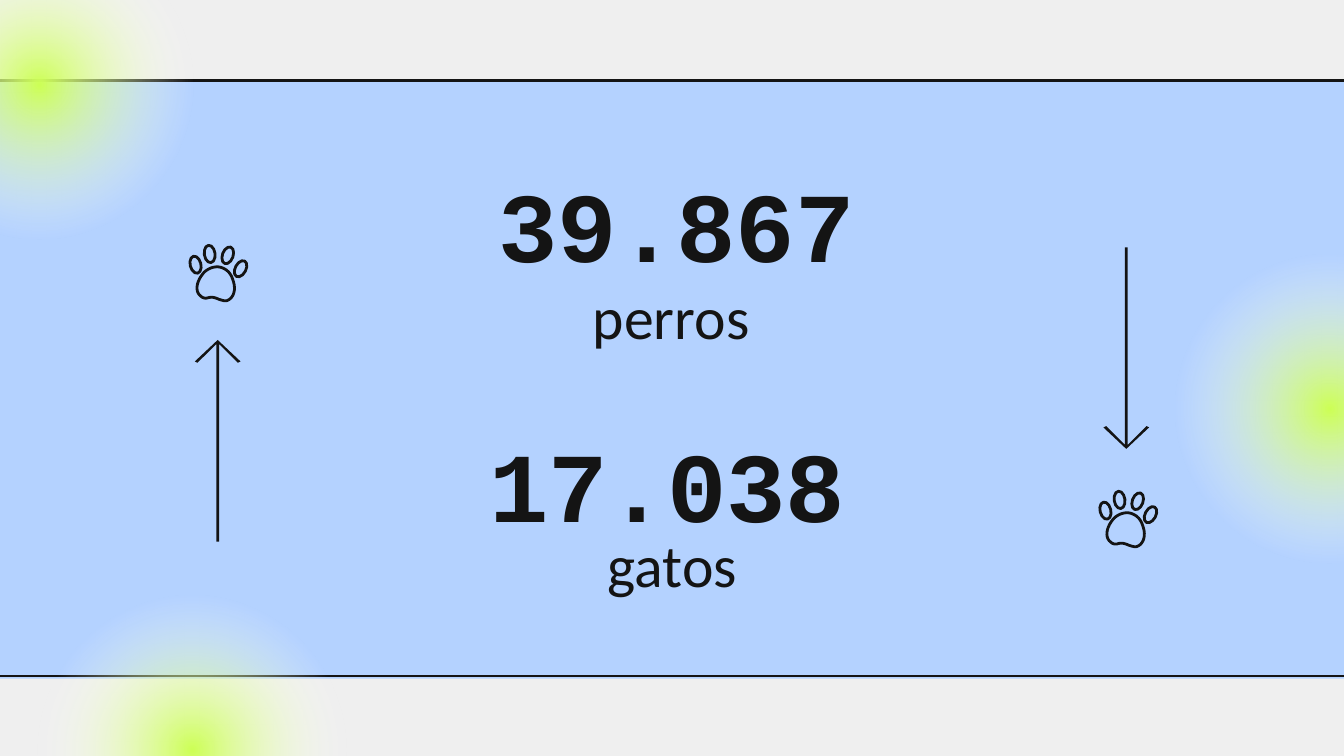
from typing import NamedTuple

from pptx import Presentation
from pptx.dml.color import RGBColor
from pptx.enum.shapes import MSO_CONNECTOR, MSO_SHAPE
from pptx.enum.text import MSO_ANCHOR, PP_ALIGN
from pptx.oxml import parse_xml
from pptx.oxml.ns import nsdecls
from pptx.util import Inches, Pt

WIDTH = 10
HEIGHT = WIDTH * 9 / 16
INK, BLUE, GREY, LIME, WHITE = "141414", "B4D2FF", "EFEFEF", "CDFF56", "FFFFFF"
GLOW_SIZE = 2.54
TEXT_WIDTH = 5.63


class Point(NamedTuple):
    x: float
    y: float


class Label(NamedTuple):
    text: str
    left: float
    top: float
    height: float
    font: str
    size: int
    bold: bool


class Toe(NamedTuple):
    center: Point
    tilt: float


class Arrow(NamedTuple):
    left: float
    top: float
    rotation: float


NUMBER_STYLE = (0.85, "Courier New", 53, True)
ANIMAL_STYLE = (0.47, "Calibri", 32, False)
LABELS = [
    Label("39.867", 2.22, 1.12, *NUMBER_STYLE),
    Label("perros", 2.18, 1.98, *ANIMAL_STYLE),
    Label("17.038", 2.15, 3.05, *NUMBER_STYLE),
    Label("gatos", 2.19, 3.83, *ANIMAL_STYLE),
]
GLOWS = [Point(1.43, 5.58), Point(9.89, 3.04), Point(0.29, 0.63)]
ARROWS = [Arrow(1.45, 2.53, 0), Arrow(8.21, 1.84, 180)]

# Paw parts are measured in hundredths of an inch from the pad's center.
PAWS = [Point(1.61, 2.11), Point(8.38, 3.94)]
TOES = [
    Toe(Point(-15.5, -14), -14),
    Toe(Point(-5, -22), -8),
    Toe(Point(8.5, -21), 20),
    Toe(Point(18, -11), 28),
]
PAD_START = Point(1, -12.5)
PAD_CURVES = [
    ((6, -12), (10, -9), (12, -4)),
    ((15, 2), (14.5, 9.5), (9, 12)),
    ((7, 12.5), (5, 12), (3, 11.5)),
    ((0, 10.5), (-2, 10), (-5, 11)),
    ((-7, 12), (-9, 11.5), (-10.5, 10.5)),
    ((-15.5, 7.5), (-15, 0), (-10.5, -6.5)),
    ((-8, -10), (-4, -12.5), PAD_START),
]
ARROW_OUTLINE = [
    (0.17, 0), (0.34, 0.16), (0.32, 0.17), (0.18, 0.03), (0.18, 1.5),
    (0.16, 1.5), (0.16, 0.03), (0.02, 0.17), (0, 0.16),
]


def color(value: str) -> RGBColor:
    return RGBColor.from_string(value)


def paint(shape, fill: str | None = None, line: str | None = None, weight: float = 1.5) -> None:
    shape.shadow.inherit = False
    if fill:
        shape.fill.solid()
        shape.fill.fore_color.rgb = color(fill)
    else:
        shape.fill.background()
    if line:
        shape.line.color.rgb = color(line)
        shape.line.width = Pt(weight)
    else:
        shape.line.fill.background()


def add_oval(page, center: Point, width: float, height: float):
    return page.shapes.add_shape(
        MSO_SHAPE.OVAL, Inches(center.x - width / 2), Inches(center.y - height / 2),
        Inches(width), Inches(height))


def add_outline(page, points: list):
    start, *others = [(Inches(x), Inches(y)) for x, y in points]
    builder = page.shapes.build_freeform(*start, scale=1.0)
    builder.add_line_segments(others, close=True)
    return builder.convert_to_shape()


def curve_points(start, first, second, end, steps: int = 10) -> list[Point]:
    """Sample a cubic Bezier curve, leaving out its start."""
    points = []
    for step in range(1, steps + 1):
        t = step / steps
        weights = ((1 - t) ** 3, 3 * t * (1 - t) ** 2, 3 * t * t * (1 - t), t ** 3)
        points.append(Point(*(sum(w * v for w, v in zip(weights, axis))
                              for axis in zip(start, first, second, end))))
    return points


def add_band(page) -> None:
    band = page.shapes.add_shape(
        MSO_SHAPE.RECTANGLE, 0, Inches(0.6), Inches(WIDTH), Inches(4.45))
    paint(band, BLUE)
    for y in (5.03, 0.6):
        edge = page.shapes.add_connector(
            MSO_CONNECTOR.STRAIGHT, Inches(WIDTH + 0.02), Inches(y), Inches(-0.02), Inches(y))
        edge.line.color.rgb = color(INK)
        edge.line.width = Pt(1.5)
        edge._element.spPr.append(parse_xml(f"<a:effectLst {nsdecls('a')}/>"))


def add_glow(page, center: Point) -> None:
    glow = add_oval(page, center, GLOW_SIZE, GLOW_SIZE)
    paint(glow)
    clear = f'<a:srgbClr val="{WHITE}"><a:alpha val="0"/></a:srgbClr>'
    gradient = parse_xml(
        f'<a:gradFill {nsdecls("a")} rotWithShape="1"><a:gsLst>'
        f'<a:gs pos="0"><a:srgbClr val="{LIME}"/></a:gs>'
        f'<a:gs pos="64000">{clear}</a:gs><a:gs pos="100000">{clear}</a:gs></a:gsLst>'
        '<a:path path="circle"><a:fillToRect l="50000" t="50000" r="50000" b="50000"/>'
        '</a:path></a:gradFill>')
    properties = glow._element.spPr
    properties.replace(properties.find("{*}noFill"), gradient)


def add_label(page, label: Label) -> None:
    box = page.shapes.add_textbox(
        Inches(label.left), Inches(label.top), Inches(TEXT_WIDTH), Inches(label.height))
    frame = box.text_frame
    frame.word_wrap = True
    frame.vertical_anchor = MSO_ANCHOR.TOP
    frame.margin_left = frame.margin_right = Inches(0.1)
    frame.margin_top = frame.margin_bottom = Inches(0.1)
    para = frame.paragraphs[0]
    para.text = label.text
    para.alignment = PP_ALIGN.CENTER
    para.font.name = label.font
    para.font.size = Pt(label.size)
    para.font.bold = label.bold
    para.font.color.rgb = color(INK)


def add_paw(page, center: Point) -> None:
    def place(point) -> Point:
        return Point(center.x + point[0] / 100, center.y + point[1] / 100)

    outline, start = [], PAD_START
    for curve in PAD_CURVES:
        outline += curve_points(start, *curve)
        start = curve[-1]
    pad = add_outline(page, [place(point) for point in outline])
    pad.rotation = 5
    paint(pad, line=INK)
    for toe in TOES:
        oval = add_oval(page, place(toe.center), 0.08, 0.13)
        oval.rotation = toe.tilt
        paint(oval, line=INK)


def add_arrow(page, arrow: Arrow) -> None:
    shape = add_outline(page, [(arrow.left + x, arrow.top + y) for x, y in ARROW_OUTLINE])
    shape.rotation = arrow.rotation
    paint(shape, INK)


def main() -> None:
    deck = Presentation()
    deck.slide_width, deck.slide_height = Inches(WIDTH), Inches(HEIGHT)
    page = deck.slides.add_slide(deck.slide_layouts[6])
    page.background.fill.solid()
    page.background.fill.fore_color.rgb = color(GREY)
    add_band(page)
    for draw, items in ((add_glow, GLOWS), (add_label, LABELS),
                        (add_paw, PAWS), (add_arrow, ARROWS)):
        for item in items:
            draw(page, item)
    deck.save("out.pptx")


if __name__ == "__main__":
    main()
